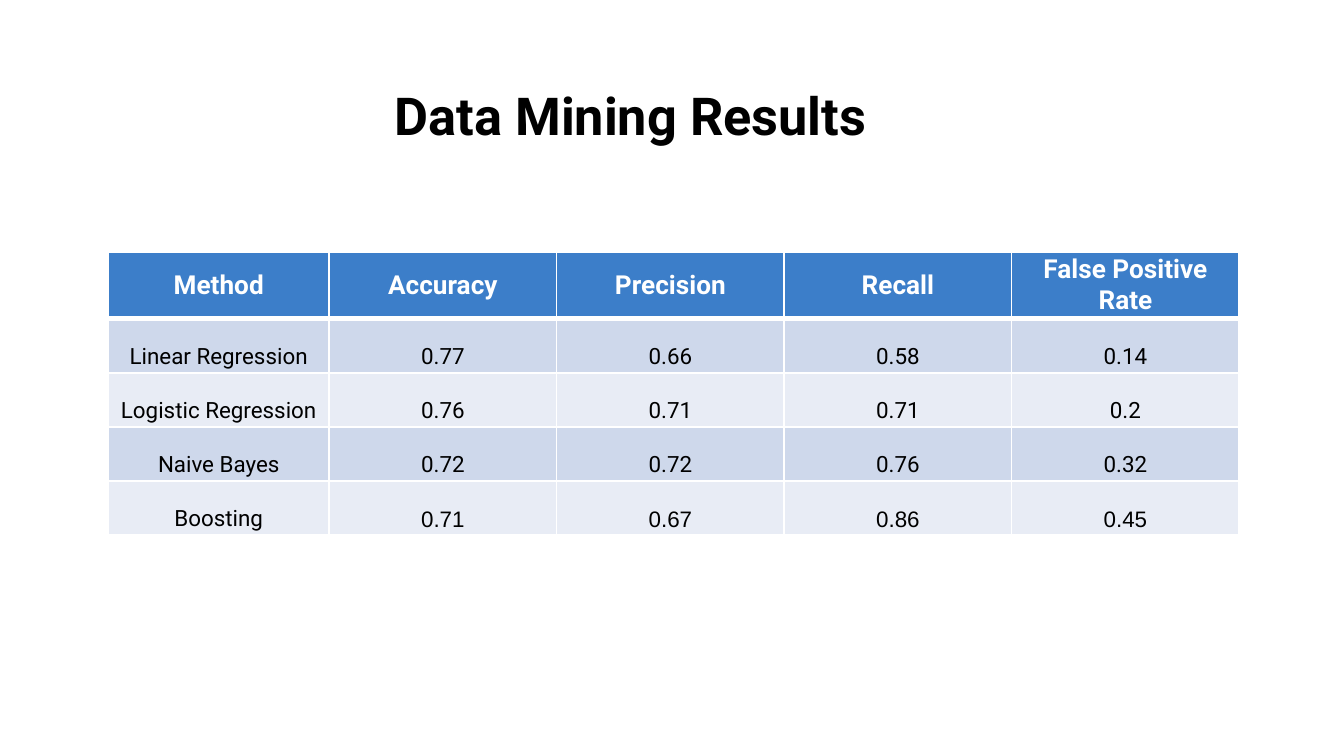
from dataclasses import dataclass
from typing import Any

from lxml.etree import SubElement
from pptx import Presentation
from pptx.dml.color import RGBColor
from pptx.enum.text import MSO_ANCHOR, MSO_AUTO_SIZE, PP_ALIGN
from pptx.oxml.ns import qn
from pptx.util import Cm, Pt

RESULTS = [
    ("Method", "Accuracy", "Precision", "Recall", "False Positive Rate"),
    ("Linear Regression", "0.77", "0.66", "0.58", "0.14"),
    ("Logistic Regression", "0.76", "0.71", "0.71", "0.2"),
    ("Naive Bayes", "0.72", "0.72", "0.76", "0.32"),
    ("Boosting", "0.71", "0.67", "0.86", "0.45"),
]


def color(value):
    return RGBColor.from_string(value)


def write(frame, text, font="Roboto", size=12, fill="000000", bold=False, align=PP_ALIGN.CENTER):
    para = frame.paragraphs[0]
    para.alignment = align
    span = para.add_run()
    span.text = text
    span.font.name = font
    span.font.size = Pt(size)
    span.font.bold = bold
    span.font.color.rgb = color(fill)
    return para


@dataclass
class ResultsSlide:
    slide: Any
    header: str = "3C7EC9"
    bands: tuple = ("E8ECF5", "CED8EB")
    rule: str = "FFFFFF"

    def title(self, text, left, top, width, height, indent):
        box = self.slide.shapes.title
        box.left, box.top, box.width, box.height = Cm(left), Cm(top), Cm(width), Cm(height)
        frame = box.text_frame
        frame.auto_size = MSO_AUTO_SIZE.NONE
        frame.word_wrap = True
        frame.vertical_anchor = MSO_ANCHOR.TOP
        frame.margin_left = frame.margin_right = frame.margin_bottom = Cm(0.25)
        frame.margin_top = Cm(0.33)
        para = write(frame, text, size=28, bold=True, align=PP_ALIGN.LEFT)
        para._p.get_or_add_pPr().set("marL", str(Cm(indent)))

    def borders(self, cell, top, bottom):
        properties = cell._tc.get_or_add_tcPr()
        for side, width in (("L", 1), ("R", 1), ("T", top), ("B", bottom)):
            line = SubElement(properties, qn(f"a:ln{side}"), w=str(Pt(width)))
            SubElement(SubElement(line, qn("a:solidFill")), qn("a:srgbClr"), val=self.rule)

    def cell(self, cell, text, row, font):
        heading = row == 0
        self.borders(cell, 3 if row == 1 else 1, 3 if heading else 1)
        cell.fill.solid()
        cell.fill.fore_color.rgb = color(self.header if heading else self.bands[row % 2])
        cell.margin_left = cell.margin_right = Cm(0.08)
        cell.margin_top = cell.margin_bottom = Cm(0.05)
        cell.vertical_anchor = MSO_ANCHOR.MIDDLE if heading else MSO_ANCHOR.BOTTOM
        if heading:
            write(cell.text_frame, text, size=14, fill="FFFFFF", bold=True)
        else:
            write(cell.text_frame, text, font=font)

    def table(self, rows, left, top, widths, heights):
        frame = self.slide.shapes.add_table(
            len(rows), len(widths), Cm(left), Cm(top), Cm(sum(widths)), Cm(sum(heights))
        )
        table = frame.table
        table.horz_banding = False
        for column, width in zip(table.columns, widths):
            column.width = Cm(width)
        for row, height in zip(table.rows, heights):
            row.height = Cm(height)
        for row, values in enumerate(rows):
            for column, text in enumerate(values):
                last_figures = row == len(rows) - 1 and column > 0
                self.cell(table.cell(row, column), text, row, "Arial" if last_figures else "Roboto")


def main():
    deck = Presentation()
    deck.slide_width, deck.slide_height = Cm(25.4), Cm(14.29)
    page = ResultsSlide(deck.slides.add_slide(deck.slide_layouts[5]))
    page.title("Data Mining Results", 0.86, 1.24, 23.67, 1.6, indent=6.35)
    page.table(RESULTS, 2.05, 4.76, [4.17] + [4.3] * 4, [1.26] + [1.02] * 4)
    deck.save("out.pptx")


if __name__ == "__main__":
    main()
